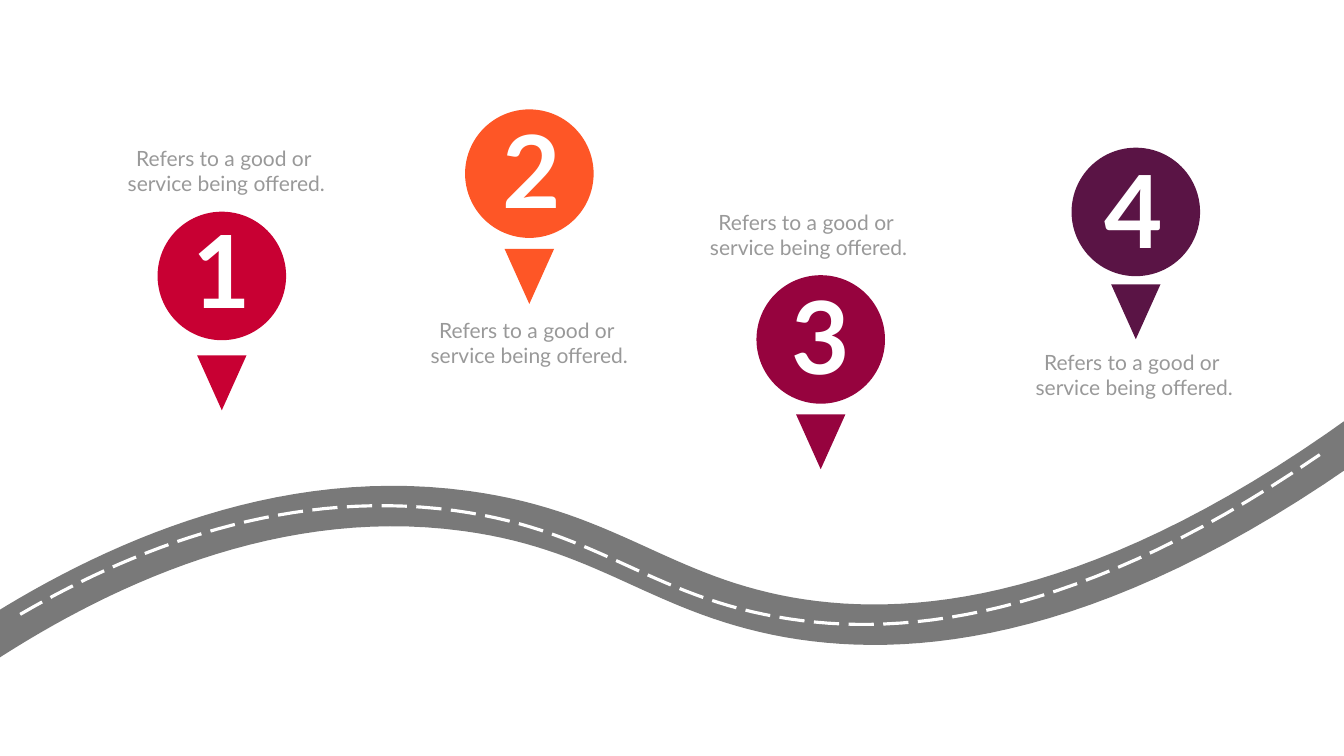
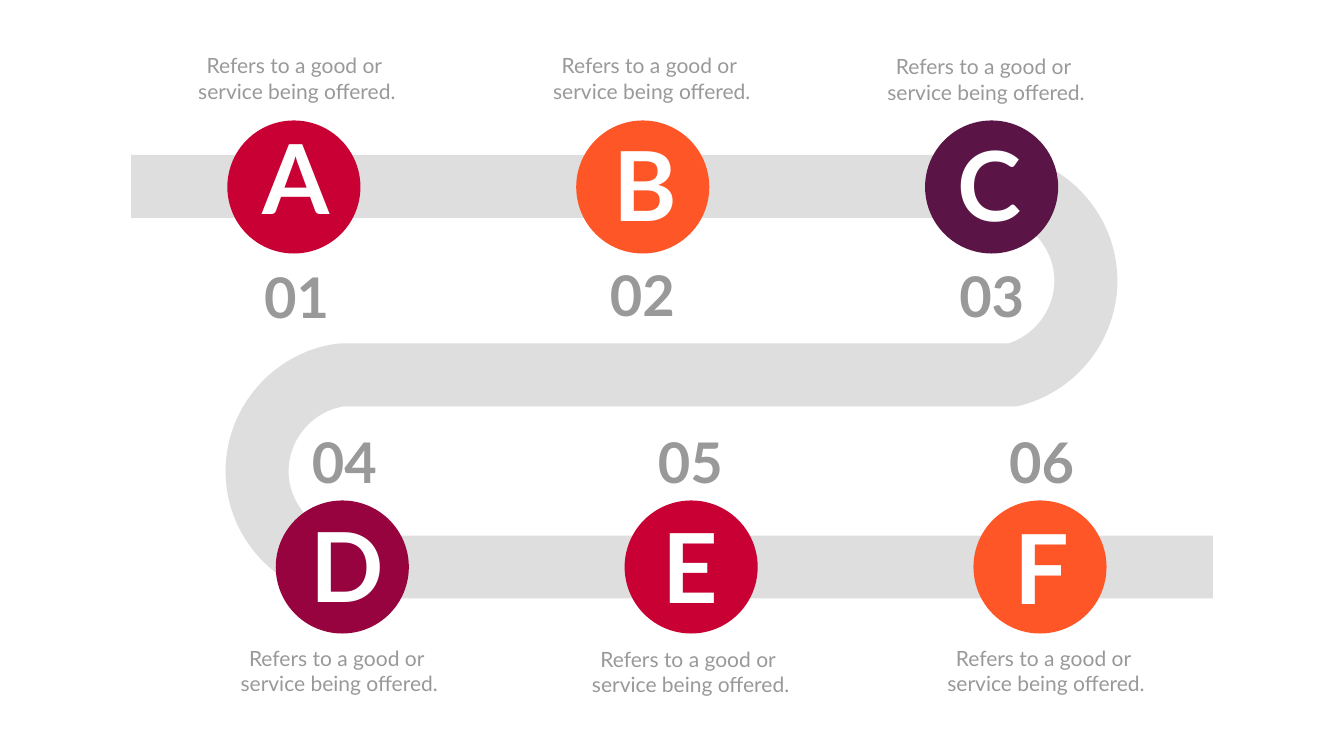
import lxml.etree
import pptx
import pptx.dml.color
import pptx.enum.dml
import pptx.enum.shapes
import pptx.enum.text
import pptx.oxml.ns
import pptx.util

COLORS = {
    "red": "C80033",
    "orange": "FE5626",
    "wine": "96033E",
    "plum": "5A1445",
    "asphalt": "797979",
    "track": "808080",
    "grey": "999999",
    "white": "FFFFFF",
}
CAPTION = ["Refers to a good or ", "service being offered."]
CURVE_STEPS = 30


def rgb(color):
    return pptx.dml.color.RGBColor.from_string(COLORS[color])


def trace(start, segments):
    points = [start]
    for segment in segments:
        if len(segment) == 1:
            points.append(segment[0])
            continue
        anchors = [points[-1], *segment]
        for step in range(1, CURVE_STEPS + 1):
            t = step / CURVE_STEPS
            weights = ((1 - t) ** 3, 3 * t * (1 - t) ** 2, 3 * t ** 2 * (1 - t), t ** 3)
            points.append(tuple(
                sum(weight * anchor[axis] for weight, anchor in zip(weights, anchors))
                for axis in (0, 1)))
    return points


class RoadmapDeck:
    font = "Lato"

    def __init__(self, width, height):
        self.presentation = pptx.Presentation()
        self.presentation.slide_width = pptx.util.Inches(width)
        self.presentation.slide_height = pptx.util.Inches(height)
        self.slide = None

    def add_slide(self):
        blank = self.presentation.slide_layouts[6]
        self.slide = self.presentation.slides.add_slide(blank)

    def road(self, start, segments, color, width, dash=None, opacity=None):
        points = [(pptx.util.Inches(x), pptx.util.Inches(y)) for x, y in trace(start, segments)]
        builder = self.slide.shapes.build_freeform(*points[0])
        builder.add_line_segments(points[1:], close=False)
        road = builder.convert_to_shape()
        road.shadow.inherit = False
        road.fill.background()
        road.line.color.rgb = rgb(color)
        road.line.width = pptx.util.Pt(width)
        if dash:
            road.line.dash_style = dash
        if opacity:
            tone = road.line.fill._xPr.find(".//" + pptx.oxml.ns.qn("a:srgbClr"))
            alpha = lxml.etree.SubElement(tone, pptx.oxml.ns.qn("a:alpha"))
            alpha.set("val", str(opacity * 1000))

    def solid(self, preset, center, top, width, height, color):
        solid = self.slide.shapes.add_shape(
            preset, pptx.util.Inches(center - width / 2), pptx.util.Inches(top),
            pptx.util.Inches(width), pptx.util.Inches(height))
        solid.shadow.inherit = False
        solid.fill.solid()
        solid.fill.fore_color.rgb = rgb(color)
        solid.line.fill.background()

    def disc(self, center, top, size, color):
        self.solid(pptx.enum.shapes.MSO_SHAPE.OVAL, center, top, size, size, color)

    def pointer(self, center, top, color):
        self.solid(pptx.enum.shapes.MSO_SHAPE.FLOWCHART_MERGE, center, top, 0.98, 1.09, color)

    def text(self, lines, left, top, width, height, size, color, bold=False, centered=False):
        box = self.slide.shapes.add_textbox(*map(pptx.util.Inches, (left, top, width, height)))
        frame = box.text_frame
        frame.word_wrap = centered
        frame.auto_size = pptx.enum.text.MSO_AUTO_SIZE.SHAPE_TO_FIT_TEXT
        frame.text = "\n".join(lines)
        for paragraph in frame.paragraphs:
            if centered:
                paragraph.alignment = pptx.enum.text.PP_ALIGN.CENTER
            for run in paragraph.runs:
                run.font.name = self.font
                run.font.size = pptx.util.Pt(size)
                run.font.bold = bold
                run.font.color.rgb = rgb(color)

    def caption(self, left, top):
        self.text(CAPTION, left, top, 4.2, 1.11, 30, "grey", centered=True)

    def mark(self, label, left, top, width, height, size, color="white"):
        self.text([label], left, top, width, height, size, color, bold=True)


def build_winding_road(deck):
    deck.add_slide()
    deck.road((-0.41, 12.83), [
        [(1.93, 11.3), (5.4, 9.61), (9.25, 10.14)],
        [(12.04, 10.52), (13.08, 11.79), (15.65, 12.25)],
        [(18.11, 12.68), (21.83, 12.35), (27.07, 8.56)],
    ], "asphalt", 57.77)
    deck.road((0.4, 12.19), [
        [(2.67, 10.87), (5.7, 9.68), (9.02, 10.13)],
        [(11.81, 10.51), (12.85, 11.79), (15.42, 12.24)],
        [(17.78, 12.66), (21.29, 12.37), (26.18, 9.02)],
    ], "white", 4.5, dash=pptx.enum.dml.MSO_LINE.LONG_DASH)
    pins = [
        ("1", "red", 4.4, 4.2, 7.05, (3.73, 4.08), (2.39, 2.83)),
        ("2", "orange", 10.5, 2.17, 4.94, (9.87, 2.09), (8.4, 6.25)),
        ("3", "wine", 16.28, 5.46, 8.22, (15.61, 5.39), (13.94, 4.11)),
        ("4", "plum", 22.53, 2.93, 5.64, (21.82, 2.89), (20.4, 6.89)),
    ]
    for number, color, center, disc_top, pointer_top, number_at, caption_at in pins:
        deck.pointer(center, pointer_top, color)
        deck.disc(center, disc_top, 2.55, color)
        deck.mark(number, *number_at, 1.37, 2.52, 144)
        deck.caption(*caption_at)


def build_serpentine(deck):
    deck.add_slide()
    deck.road((2.6, 3.7), [
        [(20.09, 3.7)],
        [(20.96, 3.93), (21.56, 4.73), (21.54, 5.61)],
        [(21.52, 6.47), (20.93, 7.22), (20.09, 7.44)],
        [(6.75, 7.44)],
        [(5.81, 7.58), (5.11, 8.39), (5.1, 9.33)],
        [(5.09, 10.28), (5.8, 11.11), (6.75, 11.25)],
        [(24.06, 11.25)],
    ], "track", 90, opacity=25)
    rows = [
        (5.83, 2.39, [
            ("A", "red", (5.1, 2.3, 1.55), (3.79, 1), "01", (5.14, 5.15)),
            ("B", "orange", (12.08, 2.43, 1.48), (10.83, 1), "02", (12, 5.12)),
            ("C", "plum", (18.9, 2.42, 1.48), (17.46, 1.02), "03", (18.93, 5.14)),
        ]),
        (6.79, 9.93, [
            ("D", "wine", (6.07, 9.99, 1.67), (4.63, 12.75), "04", (6.09, 8.44)),
            ("E", "red", (13.04, 10, 1.32), (11.6, 12.78), "05", (12.95, 8.44)),
            ("F", "orange", (20.02, 10.03, 1.3), (18.65, 12.76), "06", (19.92, 8.43)),
        ]),
    ]
    for first_center, disc_top, stops in rows:
        for column, stop in enumerate(stops):
            letter, color, letter_at, caption_at, number, number_at = stop
            deck.disc(first_center + 6.92 * column, disc_top, 2.64, color)
            deck.mark(letter, *letter_at, 2.42, 138)
            deck.caption(*caption_at)
            deck.mark(number, *number_at, 1.5, 1.45, 80, "grey")


def main():
    deck = RoadmapDeck(26.66, 15)
    build_winding_road(deck)
    build_serpentine(deck)
    deck.presentation.save("out.pptx")


if __name__ == "__main__":
    main()
